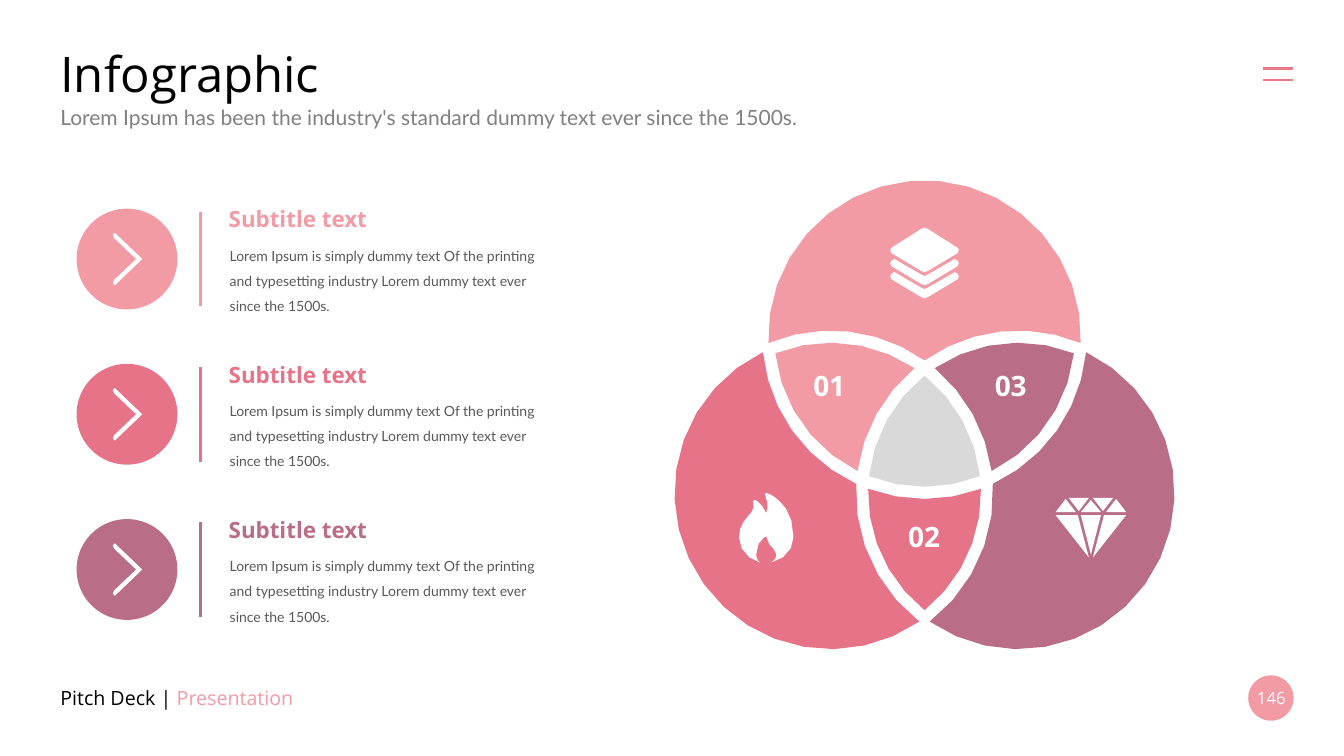
"""Build the pitch deck infographic slide with three overlapping circles."""
from dataclasses import dataclass
from math import atan2, ceil, cos, hypot, sin, sqrt, tau

from lxml.etree import SubElement
from pptx import Presentation
from pptx.dml.color import RGBColor as RGB
from pptx.enum.shapes import MSO_CONNECTOR as LINK, MSO_SHAPE as SHAPE
from pptx.enum.text import MSO_ANCHOR as ANCHOR, PP_ALIGN as ALIGN
from pptx.oxml.ns import qn
from pptx.util import Inches, Pt


@dataclass(frozen=True)
class Theme:
    pink: str = "F29BA5"
    rose: str = "E77388"
    plum: str = "BA6D87"
    coral: str = "ED7885"
    core: str = "D9D9D9"
    white: str = "FFFFFF"
    black: str = "000000"
    gray: str = "808080"
    dark: str = "595959"
    head: str = "Open Sans"
    body: str = "Lato"
    title: int = 35
    mark: int = 20
    sub: int = 16
    lead: int = 15
    foot: int = 14
    page: int = 12
    note: int = 10


T = Theme()
RING = (9.17, 3.34), (10.1, 4.89), (8.24, 4.89)
FULL, INNER, OUTER = 1.55, 1.49, 1.61
NOTE = ("Lorem Ipsum is simply dummy text Of the printing and typesetting "
        "industry Lorem dummy text ever since the 1500s.")
LEAD = ("Lorem Ipsum has been the industry's standard dummy text "
        "ever since the 1500s.")


def put_text(slide, box, *runs, size, font=T.head, bold=False, align=ALIGN.LEFT,
             anchor=ANCHOR.TOP, lead=None):
    frame = slide.shapes.add_textbox(*map(Inches, box)).text_frame
    frame.word_wrap = True
    frame.vertical_anchor = anchor
    para = frame.paragraphs[0]
    para.alignment = align
    if lead:
        para.line_spacing = Pt(lead)
    for words, color in runs:
        run = para.add_run()
        run.text = words
        run.font.name = font
        run.font.size = Pt(size)
        run.font.bold = bold
        run.font.color.rgb = RGB.from_string(color)


def paint(shape, color):
    shape.shadow.inherit = False
    shape.fill.solid()
    shape.fill.fore_color.rgb = RGB.from_string(color)
    shape.line.fill.background()


def put_disc(slide, x, y, size, color):
    box = map(Inches, (x, y, size, size))
    paint(slide.shapes.add_shape(SHAPE.OVAL, *box), color)


def put_line(slide, ends, color, width):
    line = slide.shapes.add_connector(LINK.STRAIGHT, *map(Inches, ends))
    line.line.color.rgb = RGB.from_string(color)
    line.line.width = Pt(width)
    SubElement(line._element.spPr, qn("a:effectLst"))


def put_form(slide, color, *loops):
    loops = [[(Inches(x), Inches(y)) for x, y in loop] for loop in loops]
    form = slide.shapes.build_freeform(*loops[0][0])
    for loop in loops:
        if loop is not loops[0]:
            form.move_to(*loop[0])
        form.add_line_segments(loop[1:], close=True)
    paint(form.convert_to_shape(), color)


def flip(points, axis):
    return [(2 * axis - x, y) for x, y in points]


def bend(start, *cubics):
    points = [start]
    for b, c, d in cubics:
        a = points[-1]
        for t in (0.33, 0.67, 1):
            u = 1 - t
            points.append(tuple(
                u**3 * p + 3 * u * u * t * q + 3 * u * t * t * r + t**3 * s
                for p, q, r, s in zip(a, b, c, d)))
    return points


def meet(first, last):
    (ax, ay), ra, sa = first
    (bx, by), rb, sb = last
    dx, dy = bx - ax, by - ay
    gap = hypot(dx, dy)
    along = (ra * ra - rb * rb + gap * gap) / (2 * gap)
    side = sa * sb * sqrt(ra * ra - along * along)
    return (ax + (along * dx - side * dy) / gap,
            ay + (along * dy + side * dx) / gap)


def trace(*arcs):
    """Outline a region: sign 1 keeps inside a circle, sign -1 stays outside."""
    points = []
    for i, arc in enumerate(arcs):
        (x, y), radius, sign = arc
        ends = meet(arcs[i - 1], arc), meet(arc, arcs[(i + 1) % len(arcs)])
        start, stop = (atan2(py - y, px - x) for px, py in ends)
        sweep = sign * (sign * (stop - start) % tau)
        count = ceil(5 * abs(sweep))
        for step in range(count):
            turn = start + sweep * step / count
            points.append((x + radius * cos(turn), y + radius * sin(turn)))
    return points


def put_venn(slide):
    hues = T.pink, T.plum, T.rose
    for i, hub in enumerate(RING):
        after, last = RING[(i + 1) % 3], RING[(i + 2) % 3]
        put_form(slide, hues[i], trace(
            (hub, FULL, 1), (after, OUTER, -1), (last, OUTER, -1)))
        put_form(slide, hues[(i + 2) % 3], trace(
            (last, INNER, 1), (after, INNER, 1), (hub, OUTER, -1)))
    put_form(slide, T.core, trace(*((hub, INNER, 1) for hub in RING)))
    for mark, x, y in (("01", 7.87, 3.61), ("02", 8.81, 5.1), ("03", 9.67, 3.61)):
        put_text(slide, (x, y, 0.71, 0.48), (mark, T.white), size=T.mark,
                 bold=True, align=ALIGN.CENTER)


def put_stack(slide):
    mid = 9.17
    tile = [(9.17, 2.26), (9.2, 2.27), (9.5, 2.46), (9.51, 2.48),
            (9.5, 2.51), (9.2, 2.69), (9.17, 2.7)]
    band = [(9.17, 2.74), (9.21, 2.72), (9.47, 2.57), (9.5, 2.59),
            (9.51, 2.61), (9.5, 2.64), (9.2, 2.82), (9.17, 2.83)]
    base = [(x, y + 0.13) for x, y in band]
    put_form(slide, T.white,
             *(half + flip(half, mid)[-2:0:-1] for half in (tile, band, base)))


def put_gem(slide):
    mid = 10.82
    pair = [[(10.94, 5.07), (11.04, 4.94), (10.84, 4.94)],
            [(11.17, 5.08), (11.07, 4.95), (10.97, 5.08)],
            [(10.95, 5.11), (10.84, 5.53), (11.17, 5.11)]]
    core = [[(10.72, 5.11), (10.92, 5.11), (10.82, 5.5)],
            [(10.72, 5.08), (10.92, 5.08), (10.82, 4.96)]]
    put_form(slide, T.white, *core, *pair, *(flip(cut, mid) for cut in pair))


def put_flame(slide):
    put_form(slide, T.white, bend(
        (7.73, 4.97),
        ((7.67, 4.91), (7.61, 4.89), (7.6, 4.89)),
        ((7.59, 4.89), (7.58, 4.9), (7.59, 4.91)),
        ((7.62, 4.99), (7.62, 5.05), (7.6, 5.09)),
        ((7.57, 5.01), (7.5, 4.96), (7.49, 4.96)),
        ((7.48, 4.96), (7.47, 4.97), (7.47, 4.98)),
        ((7.49, 5.04), (7.46, 5.08), (7.42, 5.12)),
        ((7.37, 5.18), (7.33, 5.23), (7.33, 5.33)),
        ((7.33, 5.45), (7.42, 5.55), (7.54, 5.58)),
        ((7.52, 5.57), (7.5, 5.54), (7.5, 5.5)),
        ((7.5, 5.36), (7.6, 5.32), (7.6, 5.32)),
        ((7.61, 5.42), (7.7, 5.44), (7.7, 5.5)),
        ((7.7, 5.54), (7.68, 5.56), (7.65, 5.58)),
        ((7.78, 5.55), (7.87, 5.45), (7.87, 5.33)),
        ((7.87, 5.14), (7.8, 5.03), (7.73, 4.97))))


def put_item(slide, y, color):
    put_disc(slide, 0.76, y, 1, color)
    half = [(1.35, 0.5), (1.13, 0.29), (1.12, 0.26), (1.14, 0.24),
            (1.16, 0.26), (1.39, 0.48), (1.41, 0.5)]
    arrow = half + [(x, 1 - dy) for x, dy in half[-2:0:-1]]
    put_form(slide, T.white, [(x, y + dy) for x, dy in arrow])
    put_line(slide, (1.99, y + 0.03, 1.99, y + 0.97), color, 2)
    put_text(slide, (2.17, y - 0.08, 3.32, 0.37), ("Subtitle text", color),
             size=T.sub, bold=True)
    put_text(slide, (2.18, y + 0.25, 3.29, 0.83), (NOTE, T.dark),
             size=T.note, font=T.body, lead=18)


def put_frame(slide):
    put_text(slide, (0.5, 0.39, 12.33, 0.66), ("Infographic", T.black),
             size=T.title, anchor=ANCHOR.MIDDLE)
    put_text(slide, (0.5, 0.99, 12.33, 0.35), (LEAD, T.gray),
             size=T.lead, font=T.body)
    put_text(slide, (0.5, 6.72, 3.29, 0.4), ("Pitch Deck | ", T.black),
             ("Presentation", T.pink), size=T.foot, anchor=ANCHOR.MIDDLE)
    put_disc(slide, 12.38, 6.7, 0.45, T.pink)
    put_text(slide, (12.34, 6.81, 0.54, 0.22), ("146", T.white), size=T.page,
             align=ALIGN.CENTER, anchor=ANCHOR.MIDDLE)
    for y in (0.68, 0.79):
        put_line(slide, (12.53, y, 12.82, y), T.coral, 1.5)


def main():
    deck = Presentation()
    deck.slide_width, deck.slide_height = Inches(13.33), Inches(7.5)
    slide = deck.slides.add_slide(deck.slide_layouts[6])
    put_frame(slide)
    put_venn(slide)
    put_stack(slide)
    put_gem(slide)
    put_flame(slide)
    for i, color in enumerate((T.pink, T.rose, T.plum)):
        put_item(slide, 2.07 + 1.54 * i, color)
    deck.save("out.pptx")


if __name__ == "__main__":
    main()
